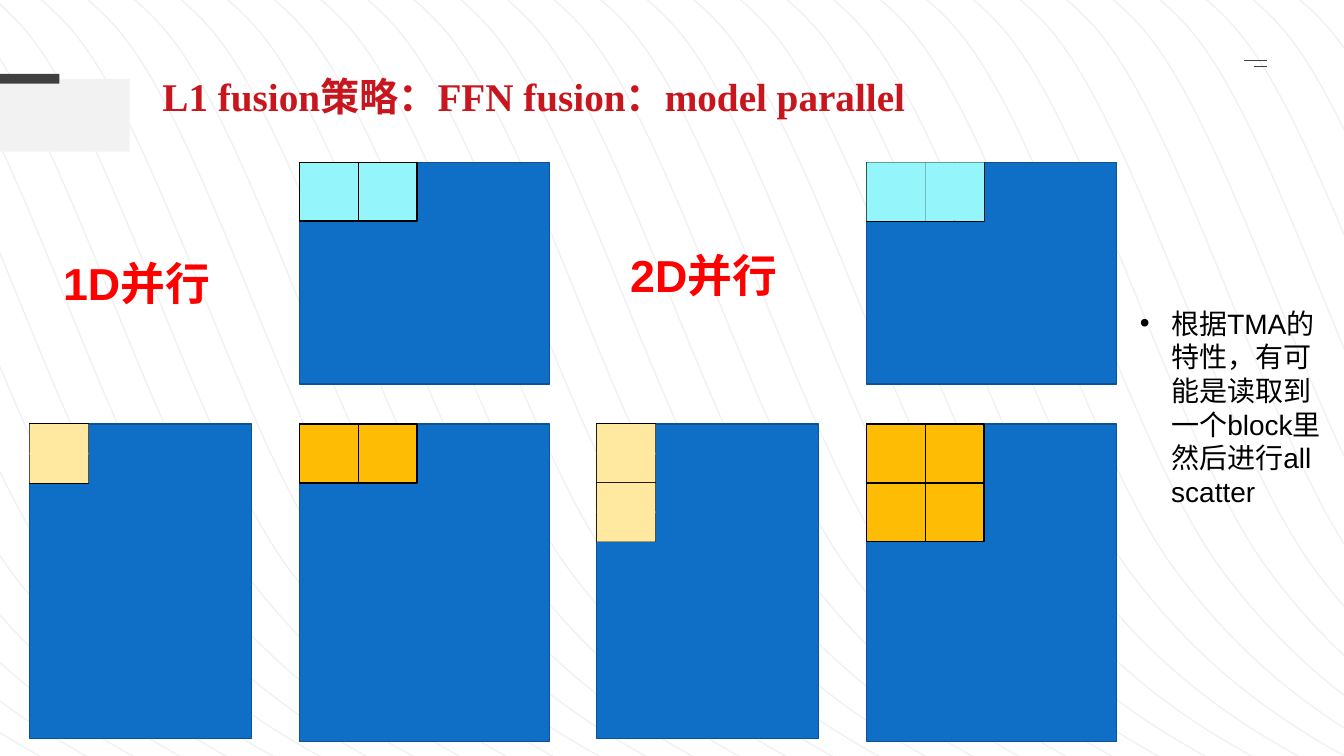
from lxml.etree import SubElement
from pptx import Presentation
from pptx.dml.color import RGBColor
from pptx.enum.shapes import MSO_CONNECTOR, MSO_SHAPE
from pptx.enum.text import MSO_ANCHOR, MSO_AUTO_SIZE, PP_ALIGN
from pptx.oxml.ns import qn
from pptx.util import Cm, Pt

HUES = {
    "blue": "0F6FC6", "navy": "0B5394", "cream": "FFE89F", "gold": "FFBC05",
    "cyan": "94F5FA", "black": "000000", "pale": "F2F2F2", "dark": "404040",
    "wave": "D9D9D9", "crimson": "C8161E", "red": "FF0000", "white": "FFFFFF",
}
RGB = {name: RGBColor.from_string(code) for name, code in HUES.items()}
FONTS = {
    "title": {"name": "Times New Roman", "size": Pt(28), "bold": True},
    "label": {"name": "Arial", "size": Pt(32), "bold": True},
    "note": {"name": "Arial", "size": Pt(20), "bold": False},
}
FRAME = {"word_wrap": True, "auto_size": MSO_AUTO_SIZE.NONE,
         "vertical_anchor": MSO_ANCHOR.TOP}

deck = Presentation()
deck.slide_width, deck.slide_height = Cm(33.87), Cm(19.05)
slide = deck.slides.add_slide(deck.slide_layouts[1])
shapes = slide.shapes
slide.background.fill.solid()
slide.background.fill.fore_color.rgb = RGB["white"]


def box(left, top, wide, high, fill, line=None):
    """Add a flat rectangle, measured in cm."""
    rect = shapes.add_shape(MSO_SHAPE.RECTANGLE, Cm(left), Cm(top), Cm(wide), Cm(high))
    rect.shadow.inherit = False
    rect.fill.solid()
    rect.fill.fore_color.rgb = RGB[fill]
    if line:
        rect.line.color.rgb = RGB[line]
        rect.line.width = Pt(1)
    else:
        rect.line.fill.background()


def write(holder, place, text, style, hue):
    """Place a text holder, in cm, and fill it with one styled paragraph."""
    for side, size in zip(("left", "top", "width", "height"), place):
        setattr(holder, side, Cm(size))
    frame = holder.text_frame
    for key, value in FRAME.items():
        setattr(frame, key, value)
    para = frame.paragraphs[0]
    para.alignment = PP_ALIGN.LEFT
    para.space_before = Pt(0)
    run = para.add_run()
    run.text = text
    for key, value in FONTS[style].items():
        setattr(run.font, key, value)
    run.font.color.rgb = RGB[hue]
    return para


# Background waves: three Bezier bends each, evenly spaced
BENDS = [(2.36, -1.3), (4.72, -1.9), (7.04, 0.61), (9.35, 3.12), (11.42, 11.13),
         (13.86, 14.4), (16.31, 17.68), (19, 18.97), (21.69, 20.27)]
WAVES = 40
pitch = (27.53 + 18.28) / (WAVES - 1)
for i in range(WAVES):
    start = -18.28 + i * pitch
    pen = shapes.build_freeform(Cm(start), Cm(-0.69))
    pen.add_line_segments([(Cm(start + x), Cm(y)) for x, y in BENDS], close=False)
    wave = pen.convert_to_shape()
    wave.shadow.inherit = False
    wave.fill.background()
    wave.line.color.rgb = RGB["wave"]
    wave.line.width = Pt(1)
    tint = wave.line._ln.find(".//" + qn("a:srgbClr"))
    SubElement(tint, qn("a:alpha"), val="34000")
    path = wave.element.find(".//" + qn("a:path"))
    steps = path.findall(qn("a:lnTo"))
    for first in range(0, len(steps), 3):
        bend = SubElement(path, qn("a:cubicBezTo"))
        for step in steps[first:first + 3]:
            bend.append(step[0])
            path.remove(step)

# Corner marks
box(-0.97, 1.99, 4.24, 1.83, "pale")
box(0, 1.86, 1.5, 0.25, "dark")
for left, top in ((31.34, 1.53), (31.6, 1.68)):
    dash = shapes.add_connector(MSO_CONNECTOR.STRAIGHT, Cm(left), Cm(top), Cm(31.93), Cm(top))
    dash.line.color.rgb = RGB["dark"]
    dash.line.width = Pt(1)
    SubElement(dash.element.spPr, qn("a:effectLst"))

# Title and note, kept in front of the waves
title, note = shapes.title, slide.placeholders[1]
for holder in (title, note):
    shapes.element.append(holder.element)
write(title, (3.84, 1.7, 26.64, 1.45), "L1 fusion策略：FFN fusion：model parallel",
      "title", "crimson")
item = write(note, (28.47, 7.59, 5.21, 6.78),
             "根据TMA的特性，有可能是读取到一个block里然后进行all scatter", "note", "black")
props = item._p.get_or_add_pPr()
props.set("marL", str(Cm(0.79)))
props.set("indent", str(Cm(-0.79)))
SubElement(props, qn("a:buFont"), typeface="Arial")
SubElement(props, qn("a:buChar"), char="•")

# Matrix diagrams
CELL = 1.48
UPPER, LOWER = 4.09, 10.69
for text, left, rows, height in (("1D并行", 0.75, 1, 6.32), ("2D并行", 15.04, 2, 6.12)):
    right = left + 6.8
    box(left, LOWER, 5.59, 7.92, "blue", "navy")
    box(right, UPPER, 6.3, 5.59, "blue", "navy")
    box(right, LOWER, 6.3, 8, "blue", "navy")
    for col in range(2):
        box(right + col * CELL, UPPER, CELL, CELL, "cyan", "black")
    for row in range(rows):
        top = LOWER + row * CELL
        box(left, top, CELL, CELL, "cream", "black")
        for half in range(2):
            box(left, top + half * 0.72, CELL, 0.76, "cream")
        for col in range(2):
            box(right + col * CELL, top, CELL, CELL, "gold", "black")
    if rows == 2:
        for strip in range(4):
            box(right + strip * CELL / 2, UPPER, CELL / 2, CELL, "cyan")
    label = shapes.add_textbox(0, 0, 0, 0)
    write(label, (left + 0.59, height, 4.42, 1.48), text, "label", "red")

deck.save("out.pptx")
